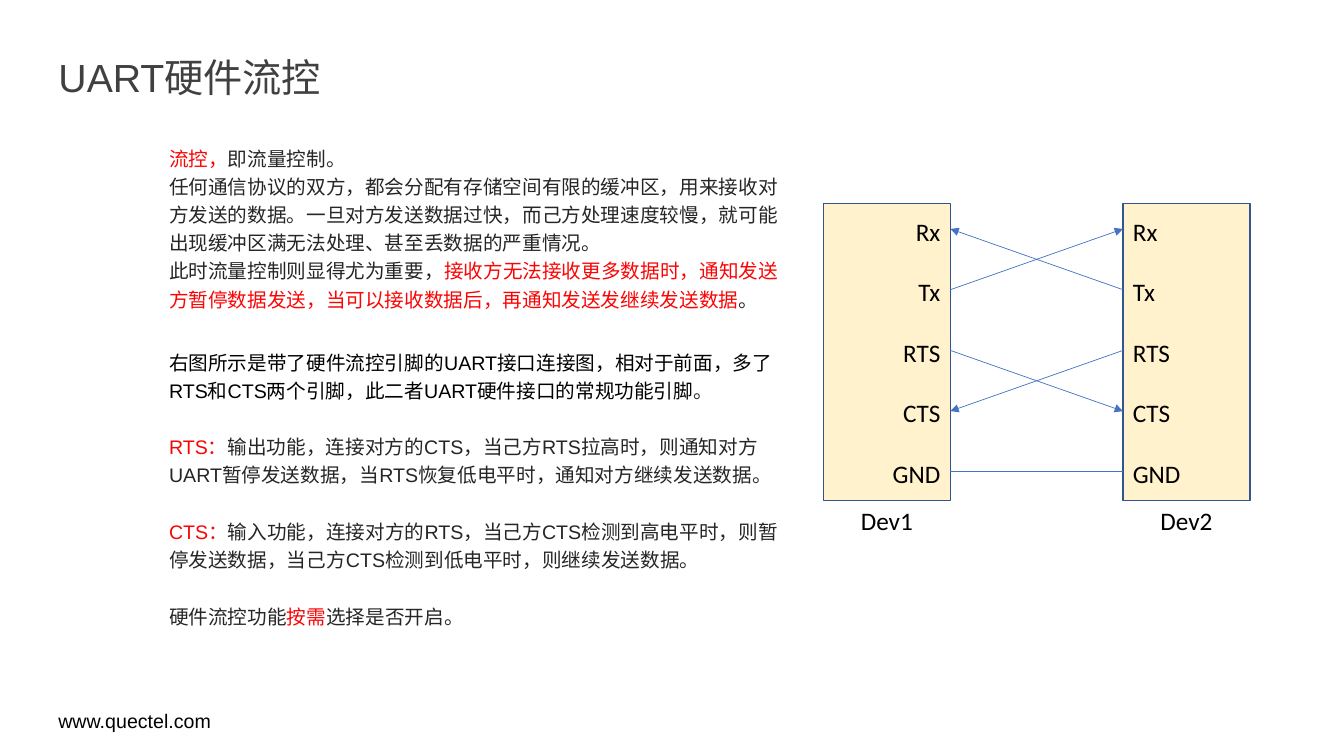
import pptx
import pptx.dml.color
import pptx.enum.shapes
import pptx.enum.text
import pptx.oxml.ns
import pptx.util
from lxml import etree
from pptx.util import Cm, Pt

ALIGN = pptx.enum.text.PP_ALIGN
ANCHOR = pptx.enum.text.MSO_ANCHOR
FIT = pptx.enum.text.MSO_AUTO_SIZE

COLOURS = {
    "title": "404040",
    "body": "262626",
    "accent": "FA0505",
    "black": "000000",
    "device": "FFF2CC",
    "outline": "325491",
    "wire": "4472C4",
}

TITLE_FONT = {"name": "Arial", "size": Pt(28)}
BODY_FONT = {"name": "Arial", "size": Pt(14)}
DIAGRAM_FONT = {"name": "Calibri", "size": Pt(18)}

# Explanatory text: each paragraph is a list of (text, colour) runs
FLOW_CONTROL = [
    [("流控，", "accent"), ("即流量控制。", "body")],
    [("任何通信协议的双方，都会分配有存储空间有限的缓冲区，用来接收对方发送的数据。"
      "一旦对方发送数据过快，而己方处理速度较慢，就可能出现缓冲区满无法处理、"
      "甚至丢数据的严重情况。", "body")],
    [("此时流量控制则显得尤为重要，", "body"),
     ("接收方无法接收更多数据时，通知发送方暂停数据发送，当可以接收数据后，"
      "再通知发送发继续发送数据", "accent"),
     ("。", "body")],
]
PIN_ROLES = [
    [("右图所示是带了硬件流控引脚的UART接口连接图，相对于前面，"
      "多了RTS和CTS两个引脚，此二者UART硬件接口的常规功能引脚", "black"),
     ("。", "body")],
    [("RTS：", "accent"),
     ("输出功能，连接对方的CTS，当己方RTS拉高时，则通知对方UART暂停发送数据，"
      "当RTS恢复低电平时，通知对方继续发送数据。", "body")],
    [("CTS：", "accent"),
     ("输入功能，连接对方的RTS，当己方CTS检测到高电平时，则暂停发送数据，"
      "当己方CTS检测到低电平时，则继续发送数据。", "body")],
]
OPTIONAL_USE = [
    [("硬件流控功能", "body"), ("按需", "accent"), ("选择是否开启。", "body")],
]

# Wiring diagram, in centimetres
PINS = ["Rx", "Tx", "RTS", "CTS", "GND"]
DEVICES = [("Dev1", 20.75, ALIGN.RIGHT), ("Dev2", 28.3, ALIGN.LEFT)]
DEVICE_TOP, DEVICE_WIDTH, DEVICE_HEIGHT = 5.13, 3.2, 7.49
FIRST_PIN, PIN_STEP = 5.77, 1.53
SIGNALS = [("Tx", "Rx"), ("RTS", "CTS")]


def colour(key):
    return pptx.dml.color.RGBColor.from_string(COLOURS[key])


def apply_format(target, values):
    for attribute, value in values.items():
        setattr(target, attribute, value)


def fill_text(frame, paragraphs, font, frame_format, paragraph_format, gap=0):
    """Write coloured runs; gap is the space between paragraphs in points."""
    apply_format(frame, frame_format)
    for index, runs in enumerate(paragraphs):
        paragraph = frame.paragraphs[0] if index == 0 else frame.add_paragraph()
        apply_format(paragraph, paragraph_format)
        if index and gap:
            paragraph.space_before = Pt(gap)
        for text, key in runs:
            run = paragraph.add_run()
            run.text = text
            apply_format(run.font, font)
            run.font.color.rgb = colour(key)


def add_text(slide, box, paragraphs, font, frame_format, paragraph_format, gap=0):
    label = slide.shapes.add_textbox(*map(Cm, box))
    fill_text(label.text_frame, paragraphs, font, frame_format, paragraph_format, gap)


def add_device(slide, name, left, alignment):
    device = slide.shapes.add_shape(
        pptx.enum.shapes.MSO_SHAPE.RECTANGLE,
        Cm(left), Cm(DEVICE_TOP), Cm(DEVICE_WIDTH), Cm(DEVICE_HEIGHT))
    device.shadow.inherit = False
    device.fill.solid()
    device.fill.fore_color.rgb = colour("device")
    device.line.color.rgb = colour("outline")
    device.line.width = Pt(1)
    fill_text(device.text_frame, [[(pin, "black")] for pin in PINS], DIAGRAM_FONT,
              {"word_wrap": True, "vertical_anchor": ANCHOR.MIDDLE},
              {"alignment": alignment}, gap=21.6)
    name_width = 1.83
    add_text(slide,
             (left + (DEVICE_WIDTH - name_width) / 2, DEVICE_TOP + DEVICE_HEIGHT,
              name_width, 1.02),
             [[(name, "black")]], DIAGRAM_FONT,
             {"word_wrap": False, "auto_size": FIT.SHAPE_TO_FIT_TEXT},
             {"alignment": ALIGN.CENTER})


def add_wire(slide, start_x, start_pin, end_x, end_pin, arrow=True):
    start_y, end_y = (FIRST_PIN + PIN_STEP * PINS.index(pin)
                      for pin in (start_pin, end_pin))
    wire = slide.shapes.add_connector(
        pptx.enum.shapes.MSO_CONNECTOR.STRAIGHT,
        Cm(start_x), Cm(start_y), Cm(end_x), Cm(end_y))
    wire.line.color.rgb = colour("wire")
    wire.line.width = Pt(0.5)
    qn = pptx.oxml.ns.qn
    if arrow:
        etree.SubElement(wire.line._get_or_add_ln(), qn("a:tailEnd"), type="triangle")
    etree.SubElement(wire._element.spPr, qn("a:effectLst"))


def main():
    deck = pptx.Presentation()
    deck.slide_width, deck.slide_height = Cm(33.87), Cm(19.05)
    slide = deck.slides.add_slide(deck.slide_layouts[5])

    # Title and web address
    title = slide.shapes.title
    apply_format(title, {"left": Cm(1.22), "top": Cm(1.4),
                         "width": Cm(30.73), "height": Cm(1.24)})
    single_line = {"word_wrap": True, "vertical_anchor": ANCHOR.MIDDLE,
                   "auto_size": FIT.NONE}
    tight_left = {"alignment": ALIGN.LEFT, "line_spacing": 0.9}
    fill_text(title.text_frame, [[("UART硬件流控", "title")]], TITLE_FONT,
              single_line, tight_left)
    add_text(slide, (1.22, 17.81, 30.73, 0.79), [[("www.quectel.com", "black")]],
             BODY_FONT, single_line, tight_left)

    # Explanation column
    for top, height, paragraphs, gap in [(3.45, 4.5, FLOW_CONTROL, 0),
                                         (8.59, 5.92, PIN_ROLES, 20),
                                         (14.99, 0.91, OPTIONAL_USE, 0)]:
        add_text(slide, (4.01, top, 15.88, height), paragraphs, BODY_FONT,
                 {"word_wrap": True, "auto_size": FIT.SHAPE_TO_FIT_TEXT},
                 {"line_spacing": 1.2}, gap)

    # Devices and the wires between them
    for name, left, alignment in DEVICES:
        add_device(slide, name, left, alignment)
    left_edge, right_edge = DEVICES[0][1] + DEVICE_WIDTH, DEVICES[1][1]
    for output, target in SIGNALS:
        add_wire(slide, left_edge, output, right_edge, target)
        add_wire(slide, right_edge, output, left_edge, target)
    add_wire(slide, left_edge, "GND", right_edge, "GND", arrow=False)

    deck.save("out.pptx")


if __name__ == "__main__":
    main()
